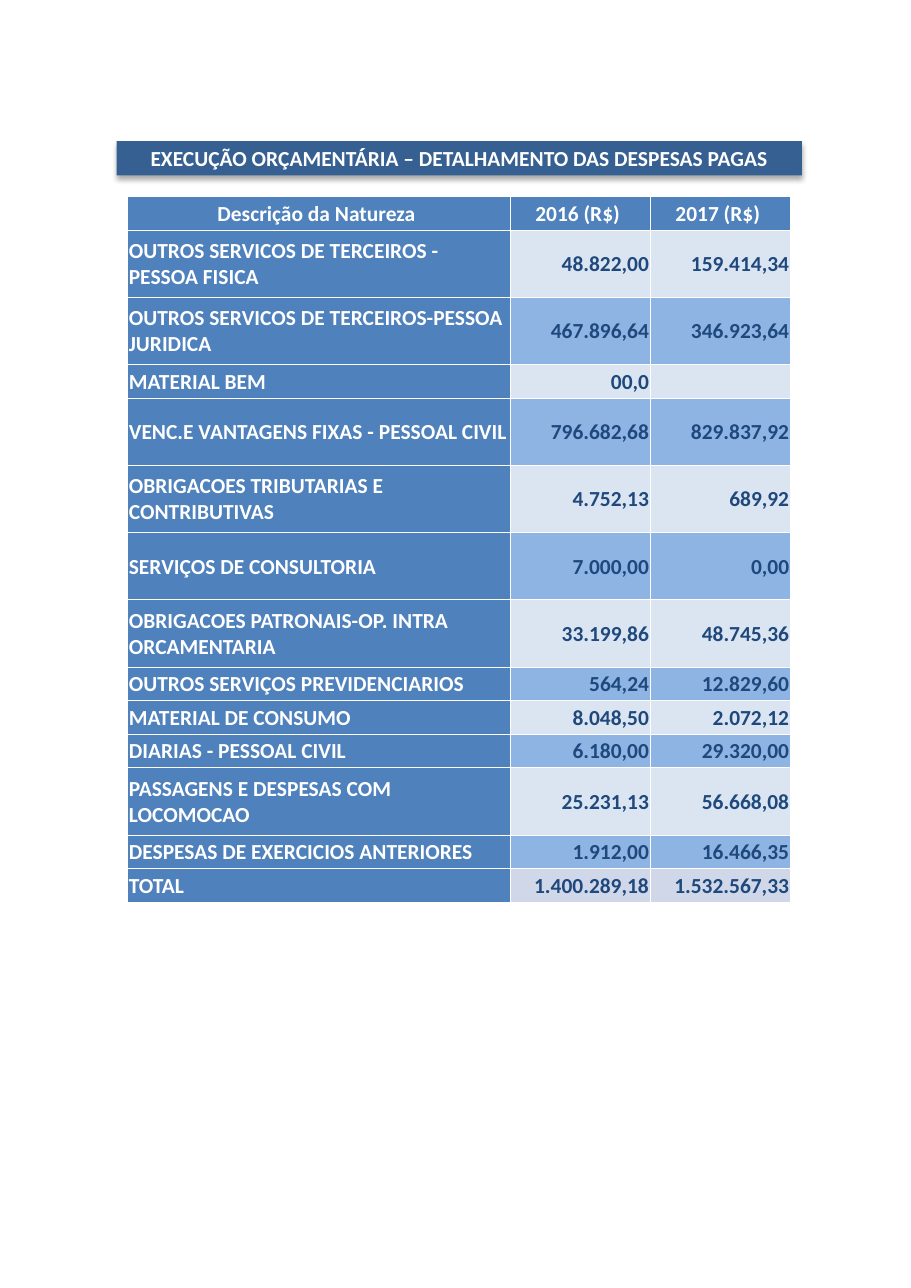
from dataclasses import dataclass

from lxml import etree
from pptx import Presentation
from pptx.dml.color import RGBColor
from pptx.enum.text import MSO_ANCHOR, MSO_AUTO_SIZE, PP_ALIGN
from pptx.oxml import parse_xml
from pptx.oxml.ns import nsdecls, qn
from pptx.util import Pt

MIDDLE = MSO_ANCHOR.MIDDLE
LEFT, CENTER, RIGHT = PP_ALIGN.LEFT, PP_ALIGN.CENTER, PP_ALIGN.RIGHT


@dataclass(frozen=True)
class Theme:
    font: str = "Calibri"
    size: float = 14
    white: str = "FFFFFF"
    navy: str = "1F497D"
    banner: str = "376092"
    header: str = "4F81BC"
    label: str = "4F81BD"
    bands: tuple = ("DBE5F1", "8DB4E3")
    total: str = "D0D7E8"
    shadow: str = "000000"


THEME = Theme()

TITLE = "EXECUÇÃO ORÇAMENTÁRIA – DETALHAMENTO DAS DESPESAS PAGAS"
HEADERS = ("Descrição da Natureza ", "2016 (R$) ", "2017 (R$) ")

# Label, 2016, 2017, row height in units
EXPENSES = (
    ("OUTROS SERVICOS DE TERCEIROS - PESSOA FISICA", "48.822,00", "159.414,34", 2),
    ("OUTROS SERVICOS DE TERCEIROS-PESSOA JURIDICA", "467.896,64", "346.923,64", 2),
    ("MATERIAL BEM", "00,0", "", 1),
    ("VENC.E VANTAGENS FIXAS - PESSOAL CIVIL", "796.682,68", "829.837,92", 2),
    ("OBRIGACOES TRIBUTARIAS E CONTRIBUTIVAS", "4.752,13", "689,92", 2),
    ("SERVIÇOS DE CONSULTORIA", "7.000,00", "0,00", 2),
    ("OBRIGACOES PATRONAIS-OP. INTRA ORCAMENTARIA", "33.199,86", "48.745,36", 2),
    ("OUTROS SERVIÇOS PREVIDENCIARIOS", "564,24", "12.829,60", 1),
    ("MATERIAL DE CONSUMO", "8.048,50", "2.072,12", 1),
    ("DIARIAS - PESSOAL CIVIL", "6.180,00", "29.320,00", 1),
    ("PASSAGENS E DESPESAS COM LOCOMOCAO", "25.231,13", "56.668,08", 2),
    ("DESPESAS DE EXERCICIOS ANTERIORES", "1.912,00", "16.466,35", 1),
)
TOTAL = ("TOTAL", "1.400.289,18", "1.532.567,33")

TABLE_LEFT, TABLE_TOP = 83.52, 128.3
COLUMN_WIDTHS = (249.9, 91.6, 91.6)
ROW_UNIT = 21.98


def set_fill(target, color):
    target.fill.solid()
    target.fill.fore_color.rgb = RGBColor.from_string(color)


def add_text(tf, text, color, align):
    p = tf.paragraphs[0]
    p.alignment = align
    if not text:  # an empty cell must not stretch its row
        p._p.get_or_add_endParaRPr().set("sz", str(THEME.size * 100))
        return
    r = p.add_run()
    r.text = text
    r.font.name = THEME.font
    r.font.size = Pt(THEME.size)
    r.font.bold = True
    r.font.color.rgb = RGBColor.from_string(color)


def add_shadow(sp):
    sp._element.spPr.append(parse_xml(
        f'<a:effectLst {nsdecls("a")}>'
        f'<a:outerShdw blurRad="{Pt(3.5)}" dist="{Pt(2.2)}" dir="5400000" rotWithShape="0">'
        f'<a:srgbClr val="{THEME.shadow}"><a:alpha val="32000"/></a:srgbClr>'
        '</a:outerShdw></a:effectLst>'))


def add_borders(cell):
    tcPr = cell._tc.get_or_add_tcPr()
    for side in ("L", "R", "T", "B"):
        ln = etree.SubElement(tcPr, qn(f"a:ln{side}"), w=str(Pt(0.5)))
        fill = etree.SubElement(ln, qn("a:solidFill"))
        etree.SubElement(fill, qn("a:srgbClr"), val=THEME.white)


def add_banner(s):
    sp = s.shapes.title
    sp.left, sp.top, sp.width, sp.height = Pt(76.3), Pt(92.2), Pt(447.8), Pt(22.4)
    set_fill(sp, THEME.banner)
    sp.line.fill.background()
    add_shadow(sp)
    tf = sp.text_frame
    tf.word_wrap = True
    tf.auto_size = MSO_AUTO_SIZE.NONE
    tf.vertical_anchor = MIDDLE
    tf.margin_top = tf.margin_bottom = 0
    add_text(tf, TITLE, THEME.white, CENTER)


def fill_cell(cell, text, fill, color, align):
    cell.vertical_anchor = MIDDLE
    cell.margin_left = cell.margin_right = cell.margin_top = Pt(0.72)
    cell.margin_bottom = 0
    add_borders(cell)
    set_fill(cell, fill)
    add_text(cell.text_frame, text, color, align)


def fill_data_row(table, row, texts, label_fill, value_fill):
    label, *values = texts
    fill_cell(table.cell(row, 0), label, label_fill, THEME.white, LEFT)
    for col, value in enumerate(values, 1):
        fill_cell(table.cell(row, col), value, value_fill, THEME.navy, RIGHT)


def add_expense_table(s):
    units = [1, *(expense[-1] for expense in EXPENSES), 1]
    table = s.shapes.add_table(
        len(units), len(HEADERS), Pt(TABLE_LEFT), Pt(TABLE_TOP),
        Pt(sum(COLUMN_WIDTHS)), Pt(ROW_UNIT * sum(units))).table
    table.horz_banding = False
    for column, width in zip(table.columns, COLUMN_WIDTHS):
        column.width = Pt(width)
    for row, unit in zip(table.rows, units):
        row.height = Pt(ROW_UNIT * unit)

    # Header, banded expenses, total
    for col, text in enumerate(HEADERS):
        fill_cell(table.cell(0, col), text, THEME.header, THEME.white, CENTER)
    for row, expense in enumerate(EXPENSES, 1):
        band = THEME.bands[(row - 1) % 2]
        fill_data_row(table, row, expense[:-1], THEME.label, band)
    fill_data_row(table, len(units) - 1, TOTAL, THEME.header, THEME.total)


def main():
    prs = Presentation()
    prs.slide_width, prs.slide_height = Pt(595.44), Pt(841.68)
    s = prs.slides.add_slide(prs.slide_layouts[5])  # title only
    add_banner(s)
    add_expense_table(s)
    prs.save("out.pptx")


if __name__ == "__main__":
    main()
